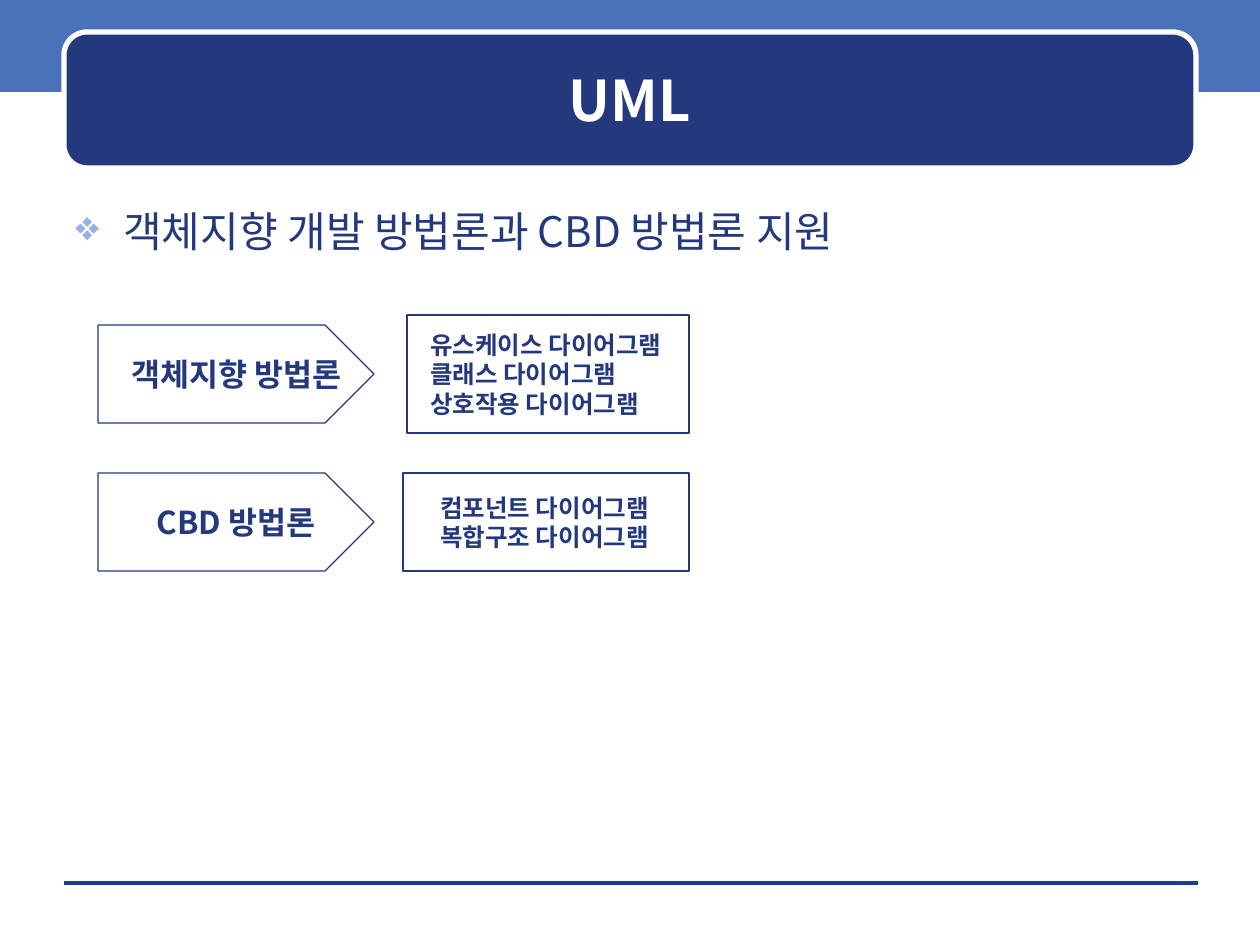
"""Build the UML slide: methodologies and the diagrams that support them."""
from collections import namedtuple

from lxml import etree
from pptx import Presentation, util as u
from pptx.dml.color import RGBColor
from pptx.enum import shapes, text
from pptx.oxml.ns import qn

TITLE = "UML"
LEAD = "객체지향 개발 방법론과 CBD 방법론 지원"
METHODS = [
    {"name": "객체지향 방법론", "middle": 374, "left": 407, "height": 118, "indent": 23,
     "diagrams": ["유스케이스 다이어그램", "클래스 다이어그램", "상호작용 다이어그램"]},
    {"name": "CBD 방법론", "middle": 522, "left": 403, "height": 98, "indent": 37,
     "diagrams": ["컴포넌트 다이어그램", "복합구조 다이어그램"]},
]
ARROW_LEFT, ARROW_WIDTH, ARROW_HEIGHT = 98, 276, 98
DIAGRAM_RIGHT = 689

Theme = namedtuple("Theme", "font navy band rule bullet white title lead method diagram")
THEME = Theme("Noto Sans CJK KR", "23387D", "4972BB", "1A3D97", "96B1E6", "FFFFFF",
              32, 24, 18, 14)
SCALE = u.Inches(1) / 126


def px(length):
    return u.Emu(round(length * SCALE))


def add_box(page, kind, place, fill=None, line=None, weight=0.75):
    box = page.shapes.add_shape(kind, *map(px, place))
    box.shadow.inherit = False
    if fill:
        box.fill.solid()
        box.fill.fore_color.rgb = RGBColor.from_string(fill)
    else:
        box.fill.background()
    if line:
        box.line.color.rgb = RGBColor.from_string(line)
        box.line.width = u.Pt(weight)
    else:
        box.line.fill.background()
    return box


def write(box, lines, size, color, bold=True, align=text.PP_ALIGN.CENTER,
          anchor=text.MSO_ANCHOR.MIDDLE, wrap=True):
    frame = box.text_frame
    frame.text = "\n".join(lines)
    frame.word_wrap = wrap
    frame.vertical_anchor = anchor
    for para in frame.paragraphs:
        para.alignment = align
        for span in para.runs:
            span.font.size = u.Pt(size)
            span.font.bold = bold
            span.font.name = THEME.font
            span.font.color.rgb = RGBColor.from_string(color)
            east = etree.SubElement(span.font._element, qn("a:ea"))
            east.set("typeface", THEME.font)
    return frame


def add_bullet(para, mark, color, indent):
    props = para._p.get_or_add_pPr()
    props.set("marL", str(px(indent)))
    props.set("indent", str(-px(indent)))
    tint = etree.SubElement(props, qn("a:buClr"))
    etree.SubElement(tint, qn("a:srgbClr")).set("val", color)
    etree.SubElement(props, qn("a:buChar")).set("char", mark)


def add_frame(page):
    add_box(page, shapes.MSO_SHAPE.RECTANGLE, (0, -4, 1260, 96), THEME.band)
    rule = page.shapes.add_connector(shapes.MSO_CONNECTOR.STRAIGHT,
                                     *map(px, (64, 883, 1198, 883)))
    rule.line.color.rgb = RGBColor.from_string(THEME.rule)
    rule.line.width = u.Pt(0)
    etree.SubElement(rule._element.spPr, qn("a:effectLst"))
    banner = add_box(page, shapes.MSO_SHAPE.ROUNDED_RECTANGLE, (64, 32, 1132, 136),
                     THEME.navy, THEME.white, 3)
    banner.adjustments[0] = 0.17
    heading = page.shapes.add_textbox(*map(px, (75, 44, 1110, 111)))
    write(heading, [TITLE], THEME.title, THEME.white)


def add_lead(page):
    box = page.shapes.add_textbox(*map(px, (63, 199, 1134, 672)))
    frame = write(box, [LEAD], THEME.lead, THEME.navy, False,
                  text.PP_ALIGN.LEFT, text.MSO_ANCHOR.TOP)
    add_bullet(frame.paragraphs[0], "❖", THEME.bullet, 48)


def add_method(page, method):
    arrow = add_box(page, shapes.MSO_SHAPE.PENTAGON,
                    (ARROW_LEFT, method["middle"] - ARROW_HEIGHT / 2,
                     ARROW_WIDTH, ARROW_HEIGHT), line=THEME.navy)
    frame = write(arrow, [method["name"]], THEME.method, THEME.navy, wrap=False)
    frame.margin_left = px(13 + ARROW_HEIGHT / 4)
    left, height = method["left"], method["height"]
    diagrams = add_box(page, shapes.MSO_SHAPE.RECTANGLE,
                       (left, method["middle"] - height / 2, DIAGRAM_RIGHT - left, height),
                       line=THEME.navy)
    frame = write(diagrams, method["diagrams"], THEME.diagram, THEME.navy,
                  align=text.PP_ALIGN.LEFT)
    frame.margin_left = px(method["indent"])


def main():
    deck = Presentation()
    deck.slide_width, deck.slide_height = px(1260), px(945)
    page = deck.slides.add_slide(deck.slide_layouts[6])
    add_frame(page)
    add_lead(page)
    for method in METHODS:
        add_method(page, method)
    deck.save("out.pptx")


if __name__ == "__main__":
    main()
